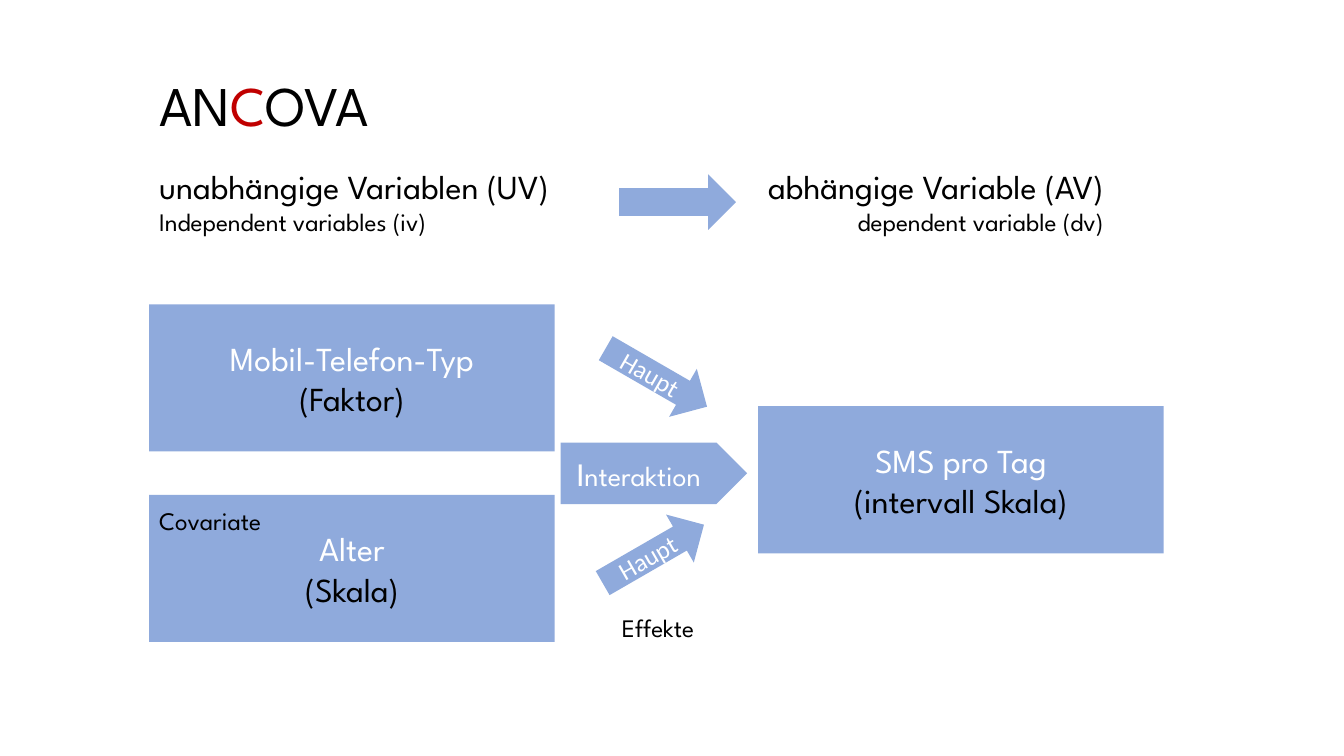
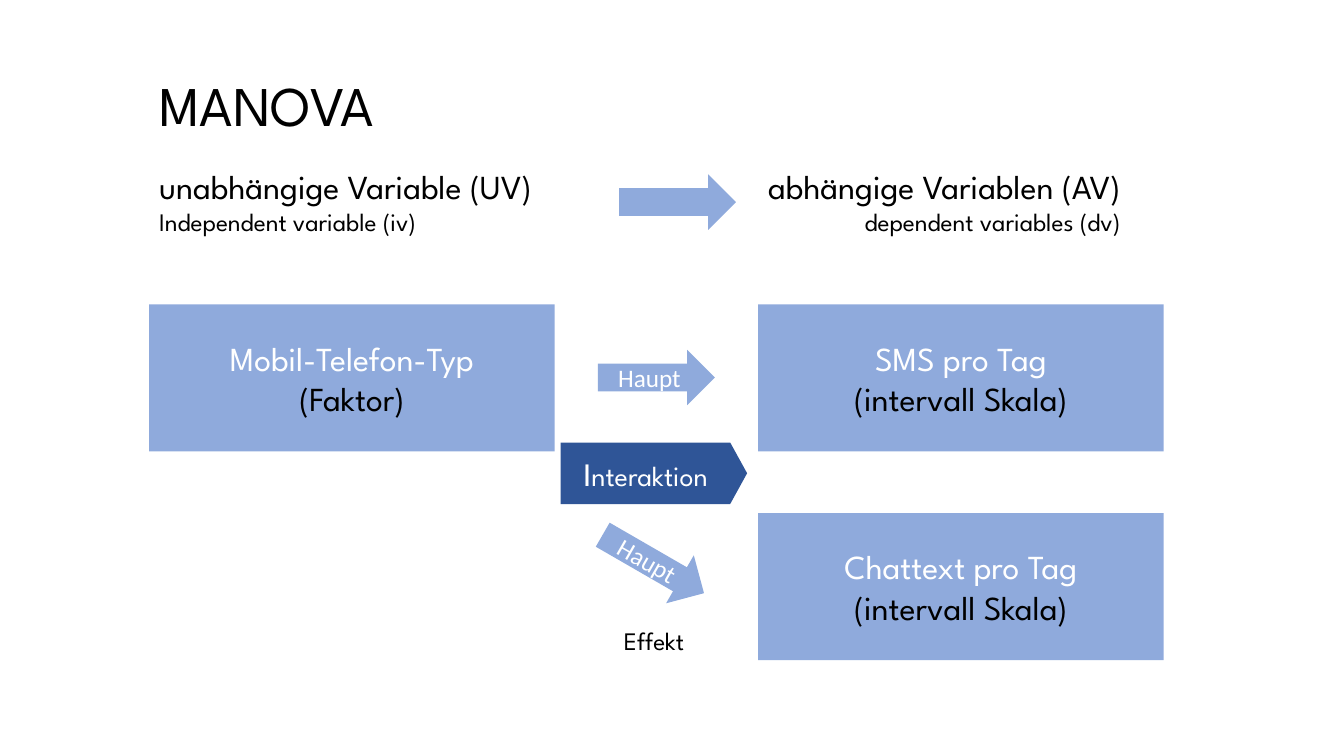
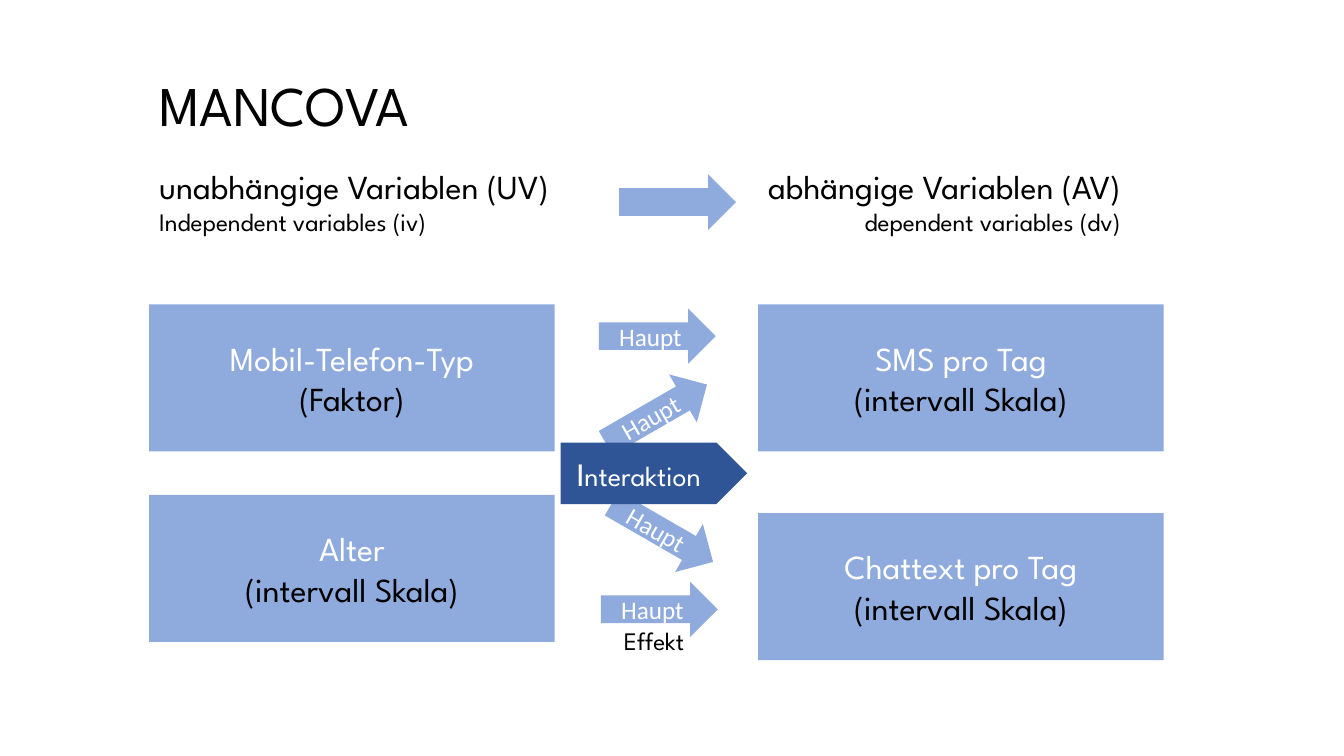
import dataclasses

import pptx
import pptx.dml.color
import pptx.enum.shapes
import pptx.enum.text
import pptx.util

Inches = pptx.util.Inches
Shape = pptx.enum.shapes.MSO_SHAPE
Align = pptx.enum.text.PP_ALIGN
Anchor = pptx.enum.text.MSO_ANCHOR


@dataclasses.dataclass(frozen=True)
class Theme:
    """Colours, fonts and type sizes shared by all slides."""
    black: str = "000000"
    white: str = "FFFFFF"
    red: str = "C00000"
    light_blue: str = "8FAADC"
    dark_blue: str = "2F5597"
    font: str = "League Spartan"
    arrow_font: str = "Calibri"
    title: int = 40
    body: int = 24
    effect: int = 20
    small: int = 18


# Columns, rows and sizes of the diagram
LEFT, RIGHT = 1.48, 7.52
UPPER, MIDDLE, LOWER_LEFT, LOWER_RIGHT = 3.02, 4.03, 4.91, 5.09
BOX_SIZE = (4.02, 1.46)
ARROW_SIZE = (1.16, 0.55)
SMALL_LABEL_HEIGHT = 0.4


class DiagramDeck:
    def __init__(self, theme):
        self.theme = theme
        self.deck = pptx.Presentation()
        self.deck.slide_width = Inches(13.33)
        self.deck.slide_height = Inches(7.5)
        self.page = None

    def add_page(self):
        self.page = self.deck.slides.add_slide(self.deck.slide_layouts[6])

    def format_span(self, span, size, colour, font=None):
        span.font.size = pptx.util.Pt(size)
        span.font.name = font or self.theme.font
        span.font.color.rgb = pptx.dml.color.RGBColor.from_string(colour)

    def add_span(self, para, text, size, colour, font=None):
        span = para.add_run()
        span.text = text
        self.format_span(span, size, colour, font)

    def text_box(self, left, top, width, height):
        box = self.page.shapes.add_textbox(
            Inches(left), Inches(top), Inches(width), Inches(height))
        box.text_frame.word_wrap = False
        box.text_frame.auto_size = pptx.enum.text.MSO_AUTO_SIZE.SHAPE_TO_FIT_TEXT
        return box.text_frame

    def title(self, width, *parts):
        """Write the title from (text, colour) parts."""
        para = self.text_box(LEFT, 0.65, width, 0.77).paragraphs[0]
        for text, colour in parts:
            self.add_span(para, text, self.theme.title, colour)

    def heading(self, left, width, german, english, align=None):
        frame = self.text_box(left, 1.6, width, 0.81)
        frame.text = f"{german}\n{english}"
        for para, size in zip(frame.paragraphs, (self.theme.body, self.theme.small)):
            self.format_span(para.runs[0], size, self.theme.black)
        frame.paragraphs[1].alignment = align

    def label(self, left, top, width, text):
        frame = self.text_box(left, top, width, SMALL_LABEL_HEIGHT)
        frame.text = text
        self.format_span(frame.paragraphs[0].runs[0], self.theme.small, self.theme.black)

    def block(self, kind, left, top, size, colour):
        """Add a filled shape without outline; return it."""
        width, height = size
        shape = self.page.shapes.add_shape(
            kind, Inches(left), Inches(top), Inches(width), Inches(height))
        shape.shadow.inherit = False
        shape.fill.solid()
        shape.fill.fore_color.rgb = pptx.dml.color.RGBColor.from_string(colour)
        shape.line.fill.background()
        shape.text_frame.vertical_anchor = Anchor.MIDDLE
        shape.text_frame.paragraphs[0].alignment = Align.CENTER
        return shape

    def variable(self, left, top, name, scale):
        box = self.block(Shape.RECTANGLE, left, top, BOX_SIZE, self.theme.light_blue)
        para = box.text_frame.paragraphs[0]
        para.text = f"{name}\v({scale})"
        for span, colour in zip(para.runs, (self.theme.white, self.theme.black)):
            self.format_span(span, self.theme.body, colour)

    def arrow(self, left, top, text="", angle=0):
        arrow = self.block(Shape.RIGHT_ARROW, left, top, ARROW_SIZE, self.theme.light_blue)
        arrow.rotation = angle
        if text:
            para = arrow.text_frame.paragraphs[0]
            para.text = text
            self.format_span(para.runs[0], self.theme.small, self.theme.white,
                             self.theme.arrow_font)

    def main_effects(self, *places):
        """Draw one arrow for each (left, top, angle)."""
        for left, top, angle in places:
            self.arrow(left, top, "Haupt", angle)

    def interaction(self, colour, tip=0.5):
        arrow = self.block(Shape.RIGHT_ARROW, 5.56, 4.39, (1.85, 0.61), colour)
        arrow.adjustments[0] = 1
        arrow.adjustments[1] = tip
        para = arrow.text_frame.paragraphs[0]
        self.add_span(para, "I", self.theme.body, self.theme.white, self.theme.arrow_font)
        self.add_span(para, "nteraktion", self.theme.effect, self.theme.white)

    def design_page(self, title_width, title_parts, many_causes, many_outcomes):
        """Start a page with title, both headings and the factor."""
        self.add_page()
        self.variable(LEFT, UPPER, "Mobil-Telefon-Typ", "Faktor")
        cause_n, cause_s = ("n", "s") if many_causes else ("", "")
        outcome_n, outcome_s = ("n", "s") if many_outcomes else ("", "")
        self.heading(LEFT, 4.63 if many_causes else 4.44,
                     f"unabhängige Variable{cause_n} (UV)",
                     f"Independent variable{cause_s} (iv)")
        self.heading(RIGHT, 4.24, f"abhängige Variable{outcome_n} (AV)",
                     f"dependent variable{outcome_s} (dv)", Align.RIGHT)
        self.arrow(6.14, 1.73)
        self.title(title_width, *title_parts)

    def two_outcomes(self):
        self.variable(RIGHT, UPPER, "SMS pro Tag", "intervall Skala")
        self.label(6.09, 6.15, 0.84, "Effekt")
        self.variable(RIGHT, LOWER_RIGHT, "Chattext pro Tag", "intervall Skala")


theme = Theme()
slides = DiagramDeck(theme)

# ANCOVA: factor and covariate, one outcome
slides.design_page(
    2.73, [("AN", theme.black), ("C", theme.red), ("OVA", theme.black)],
    many_causes=True, many_outcomes=False)
slides.variable(RIGHT, MIDDLE, "SMS pro Tag", "intervall Skala")
slides.variable(LEFT, LOWER_LEFT, "Alter", "Skala")
slides.main_effects((5.93, 3.47, 30), (5.9, 5.22, 330))
slides.interaction(theme.light_blue)
slides.label(6.07, 6.03, 0.98, "Effekte")
slides.label(LEFT, 4.96, 1.32, "Covariate")

# MANOVA: one factor, two outcomes
slides.design_page(2.88, [("MANOVA", theme.black)],
                   many_causes=False, many_outcomes=True)
slides.two_outcomes()
slides.main_effects((5.93, 3.47, 0), (5.9, 5.32, 30))
slides.interaction(theme.dark_blue, tip=0.275)

# MANCOVA: factor and covariate, two outcomes
slides.design_page(3.27, [("MANCOVA", theme.black)],
                   many_causes=True, many_outcomes=True)
slides.two_outcomes()
slides.variable(LEFT, LOWER_LEFT, "Alter", "intervall Skala")
slides.main_effects((5.94, 3.06, 0), (5.99, 5.01, 30),
                    (5.96, 5.77, 0), (5.93, 3.83, 330))
slides.interaction(theme.dark_blue)

slides.deck.save("out.pptx")
